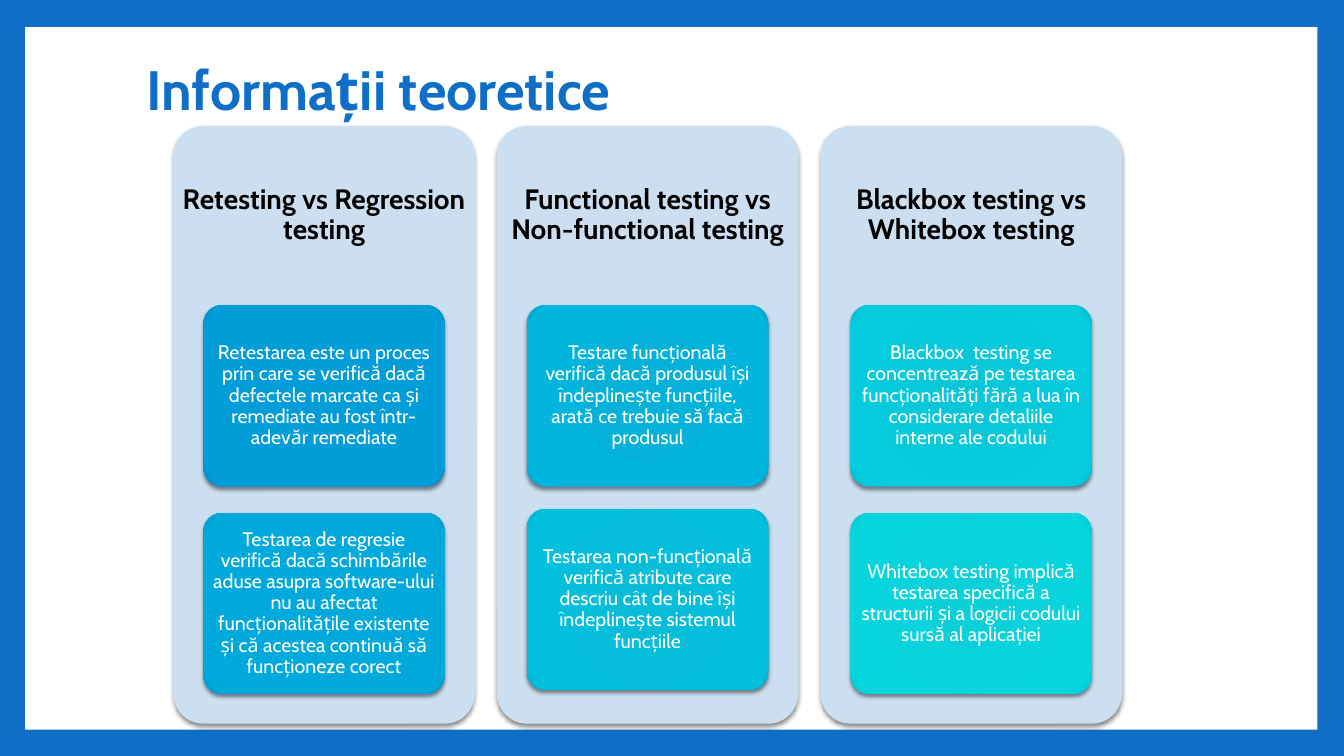
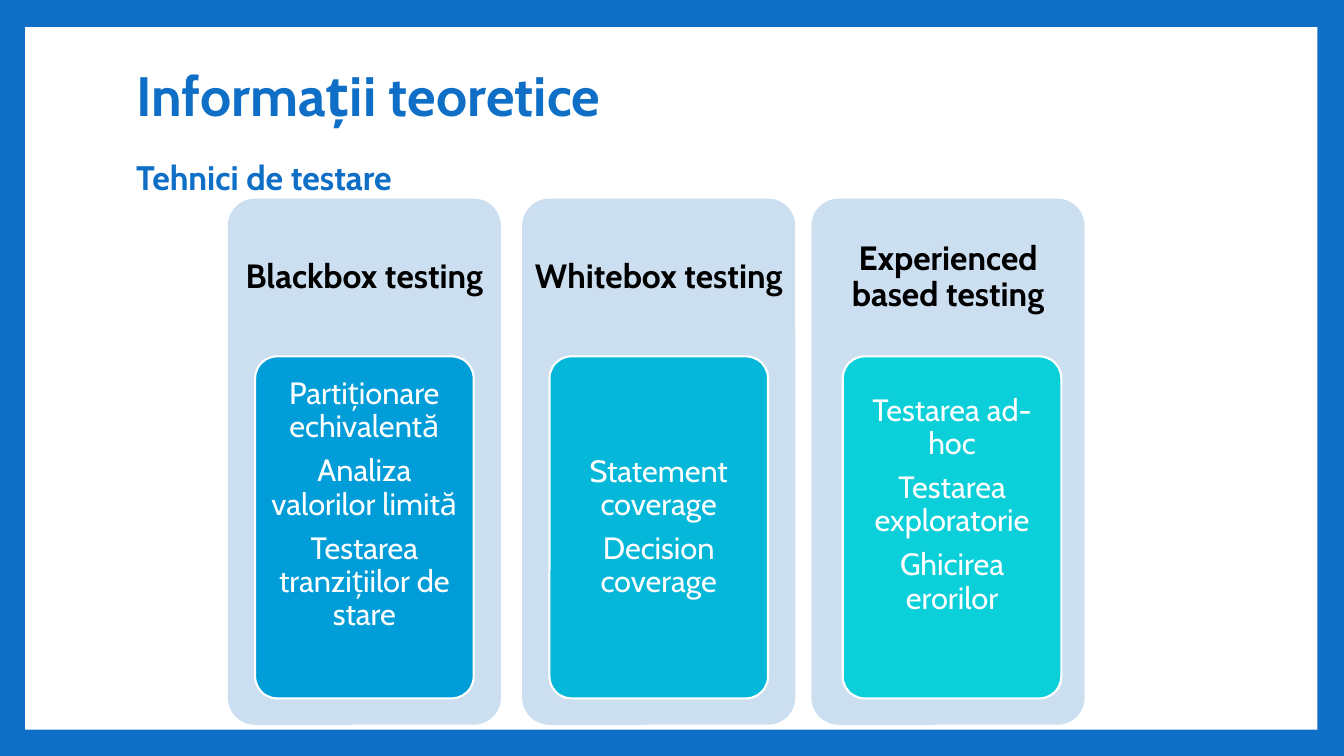
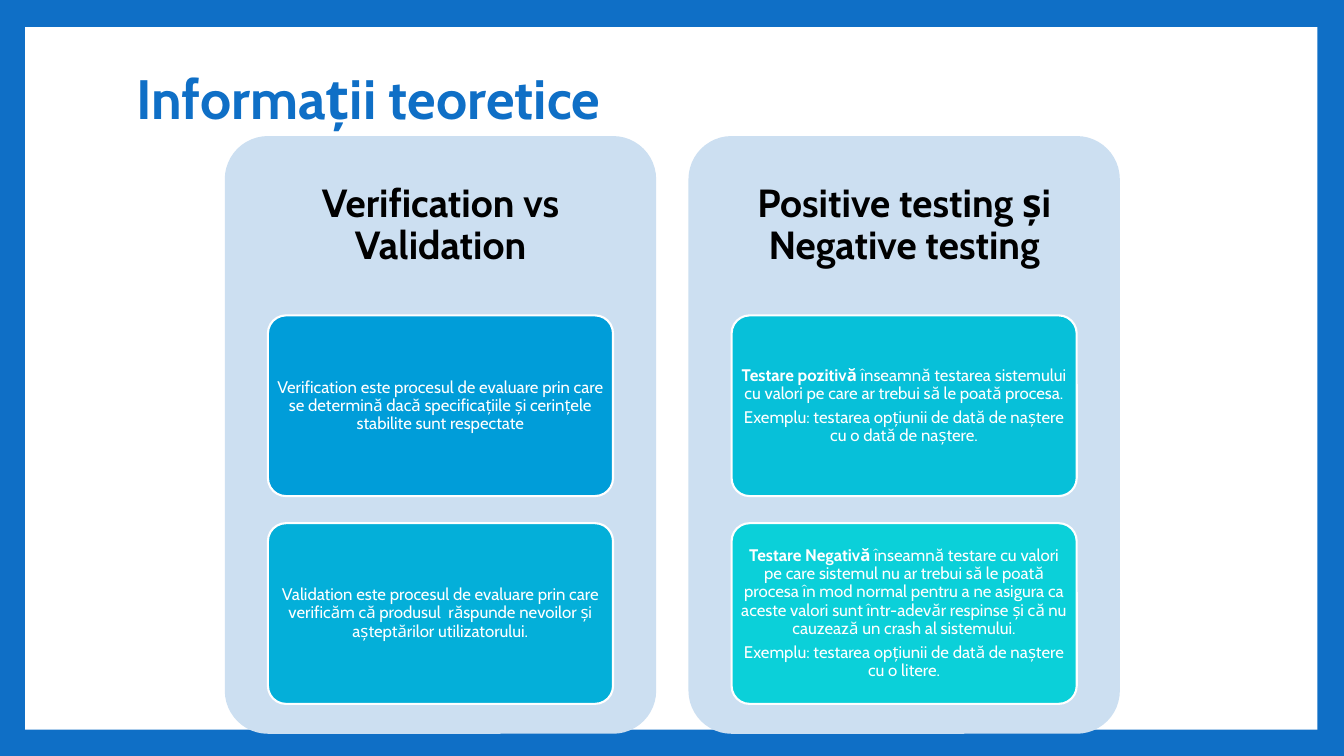
from lxml import etree
from pptx import Presentation
from pptx.dml.color import RGBColor
from pptx.enum.shapes import MSO_SHAPE
from pptx.enum.text import MSO_ANCHOR, MSO_AUTO_SIZE, PP_ALIGN
from pptx.oxml import parse_xml
from pptx.oxml.ns import qn
from pptx.util import Emu, Pt

RECT, ROUND = MSO_SHAPE.RECTANGLE, MSO_SHAPE.ROUNDED_RECTANGLE
MIDDLE, FIXED = MSO_ANCHOR.MIDDLE, MSO_AUTO_SIZE.NONE
LEFT, CENTER = PP_ALIGN.LEFT, PP_ALIGN.CENTER

SCALE = 9144  # EMU per px, 100 px to the inch
FONT = "Cabin"
BLUE, PALE, WHITE, BLACK = "0F6FC6", "CCDFF1", "FFFFFF", "000000"
HEAD = "Informații teoretice"
DRAWING = "http://schemas.openxmlformats.org/drawingml/2006/main"


def px(n):
    return Emu(round(n * SCALE))


def paint(target, color):
    """Give a fill or a font its colour."""
    if hasattr(target, "solid"):
        target.solid()
        target.fore_color.rgb = RGBColor.from_string(color)
    else:
        target.color.rgb = RGBColor.from_string(color)


def style(runs, size, color, bold=False):
    for run in runs:
        font = run.font
        font.name, font.size, font.bold = FONT, Pt(size), bold
        paint(font, color)


def setup(frame, insets=None):
    """Fixed, wrapped, middle-anchored text."""
    frame.auto_size, frame.word_wrap = FIXED, True
    frame.vertical_anchor = MIDDLE
    if insets:
        (frame.margin_left, frame.margin_top,
         frame.margin_right, frame.margin_bottom) = map(px, insets)


def write(frame, paras, size, color, bold=False):
    """Centred paragraphs; a part before | is a bold lead."""
    frame.text = "\n".join(paras)
    for para, text in zip(frame.paragraphs, paras):
        lead, bar, rest = text.partition("|")
        para.text = lead
        style(para.runs, size, color, bold or bool(bar))
        if bar:
            run = para.add_run()
            run.text = rest
            style([run], size, color)
        para.alignment, para.line_spacing = CENTER, 0.9
        para.space_after = Pt(round(0.35 * size, 1))


def block(slide, kind, box, color):
    shape = slide.shapes.add_shape(kind, *map(px, box))
    shape.shadow.inherit = False
    paint(shape.fill, color)
    shape.line.fill.background()
    if kind == ROUND:
        shape.adjustments[0] = 0.1
    return shape


def shade(shape):
    """Soft shadow straight below."""
    effects = shape.element.spPr.find(qn("a:effectLst"))
    shadow = etree.SubElement(effects, qn("a:outerShdw"), blurRad="38100",
                              dist="25400", dir="5400000", rotWithShape="0")
    tone = etree.SubElement(shadow, qn("a:srgbClr"), val=BLACK)
    etree.SubElement(tone, qn("a:alpha"), val="45000")


def blend(shape, colors):
    """Round gradient that only turns darker near one corner."""
    stops = "".join(
        f'<a:gs pos="{pos}"><a:srgbClr val="{color}"/></a:gs>'
        for pos, color in zip((0, 90000, 100000), colors))
    grad = parse_xml(
        f'<a:gradFill xmlns:a="{DRAWING}" rotWithShape="1"><a:gsLst>{stops}</a:gsLst>'
        '<a:path path="circle"><a:fillToRect l="100000" t="100000" '
        'r="100000" b="100000"/></a:path></a:gradFill>')
    props = shape.element.spPr
    props.replace(props.find(qn("a:solidFill")), grad)


def card(slide, box, fill, paras, look, lift):
    shape = block(slide, ROUND, box, fill[0])
    if len(fill) > 1:
        blend(shape, fill)
        shade(shape)
    else:
        paint(shape.line.fill, WHITE)
        shape.line.width = Pt(1.5)
    side, edge = look["pad"]
    setup(shape.text_frame, (side, edge, side, edge + lift))
    write(shape.text_frame, paras, look["text"], WHITE)


def column(slide, box, head, cards, look):
    """Panel with a heading in the top 30% and cards in the next 65%."""
    x, y, w, h = box
    panel = block(slide, ROUND, box, PALE)
    if look["soft"]:
        shade(panel)
    title = slide.shapes.add_textbox(*map(px, (x, y, w, 0.3 * h)))
    setup(title.text_frame, [look["inset"]] * 4)
    write(title.text_frame, [head], look["head"], BLACK, True)

    # Cards are parted by 15% of their height
    tall = 0.65 * h / (len(cards) + 0.15 * (len(cards) - 1))
    for i, item in enumerate(cards):
        left = x + 0.1 * w + item.get("dx", 0)
        top = y + 0.3 * h + i * 1.15 * tall + item.get("dy", 0)
        card(slide, (left, top, 0.8 * w, tall), item["fill"], item["paras"],
             look, item.get("lift", 0))


def page(deck, box, lines, sizes):
    """Slide with its title, one paragraph per line."""
    slide = deck.slides.add_slide(deck.slide_layouts[5])
    title = slide.shapes.title
    title.left, title.top, title.width, title.height = map(px, box)
    frame = title.text_frame
    setup(frame)
    frame.text = "\n".join(lines)
    for i, (para, size) in enumerate(zip(frame.paragraphs, sizes)):
        para.alignment, para.line_spacing = LEFT, 0.9
        para.space_before = Pt(23 if i else 0)
        style(para.runs, size, BLUE, True)
    return slide


def border(deck, slide):
    """Blue ground and white sheet, kept on the shared layout."""
    layout = slide.slide_layout
    paint(layout.background.fill, BLUE)
    sheet = block(slide, RECT, (25, 27, 1282, 697), WHITE)
    sheet.element.nvSpPr.cNvPr.set("id", "99")
    layout.shapes.element.insert(2, sheet.element)


def item(fill, *paras, **shift):
    return {"fill": fill.split(), "paras": paras, **shift}


# Column looks: heading and card text sizes, insets
PAIRS = {"head": 20, "text": 14, "inset": 8, "pad": (4, 3), "soft": True}
LISTS = {"head": 24, "text": 22, "inset": 10, "pad": (6, 5), "soft": False}
WIDE = {"head": 28, "text": 12, "inset": 12, "pad": (3, 3), "soft": False}

TYPES = [
    ("Retesting vs Regression testing", [
        item("009DD9 009DD9 008EC5",
             "Retestarea este un proces prin care se verifică dacă defectele "
             "marcate ca și remediate au fost într-adevăr remediate"),
        item("02A8D9 00A9DB 0099C7",
             "Testarea de regresie verifică dacă schimbările aduse asupra "
             "software-ului nu au afectat funcționalitățile existente și că "
             "acestea continuă să funcționeze corect")]),
    ("Functional testing vs Non-functional testing", [
        item("04B2D9 00B5DD 00A4C9",
             "Testare funcțională verifică dacă produsul își îndeplinește "
             "funcțiile, arată ce trebuie să facă produsul"),
        item("06BCD9 01C0DE 00AFCB",
             "Testarea non-funcțională verifică atribute care descriu cât de "
             "bine își îndeplinește sistemul funcțiile", dy=-4)]),
    ("Blackbox testing vs Whitebox testing", [
        item("09C6D9 04CBDE 00BACD",
             "Blackbox  testing se concentrează pe testarea funcționalități "
             "fără a lua în considerare detaliile interne ale codului"),
        item("0BD0D9 06D5DE 00C6CF",
             "Whitebox testing implică testarea specifică a structurii și a "
             "logicii codului sursă al aplicației")]),
]
METHODS = [
    (226, "Blackbox testing", item(
        "009DD9", "Partiționare echivalentă", "Analiza valorilor limită",
        "Testarea tranzițiilor de stare", lift=44)),
    (518, "Whitebox testing", item(
        "05B7D9", "Statement coverage", "Decision coverage")),
    (805, "Experienced based testing", item(
        "0BD0D9", "Testarea ad-hoc", "Testarea exploratorie",
        "Ghicirea erorilor", lift=44, dx=4)),
]
CHECKS = [
    ("Verification vs Validation", [
        item("009DD9",
             "Verification este procesul de evaluare prin care se determină "
             "dacă specificațiile și cerințele stabilite sunt respectate"),
        item("04AFD9",
             "Validation este procesul de evaluare prin care verificăm că "
             "produsul  răspunde nevoilor și așteptărilor utilizatorului.")]),
    ("Positive testing și Negative testing", [
        item("07C0D9",
             "Testare pozitivă |înseamnă testarea sistemului cu valori pe "
             "care ar trebui să le poată procesa.",
             "Exemplu: testarea opțiunii de dată de naștere cu o dată de "
             "naștere."),
        item("0BD0D9",
             "Testare Negativă |înseamnă testare cu valori pe care sistemul "
             "nu ar trebui să le poată procesa în mod normal pentru a ne "
             "asigura ca aceste valori sunt într-adevăr respinse și că nu "
             "cauzează un crash al sistemului.",
             "Exemplu: testarea opțiunii de dată de naștere cu o litere.")]),
]


def main():
    deck = Presentation()
    deck.slide_width, deck.slide_height = px(1333.33), px(750)

    # Kinds of testing
    slide = page(deck, (135, 58, 1080, 67), [HEAD], [39.6])
    border(deck, slide)
    for i, (head, cards) in enumerate(TYPES):
        column(slide, (172 + 321 * i, 125, 299, 593), head, cards, PAIRS)

    # Techniques
    slide = page(deck, (125, 67, 1080, 130),
                 [HEAD, "Tehnici de testare"], [39.6, 24.3])
    for left, head, entry in METHODS:
        column(slide, (left, 197, 271, 522), head, [entry], LISTS)

    # Checks
    slide = page(deck, (125, 67, 1080, 68), [HEAD], [39.6])
    for i, (head, cards) in enumerate(CHECKS):
        column(slide, (223 + 460 * i, 135, 428, 593), head, cards, WIDE)

    deck.save("out.pptx")


if __name__ == "__main__":
    main()
